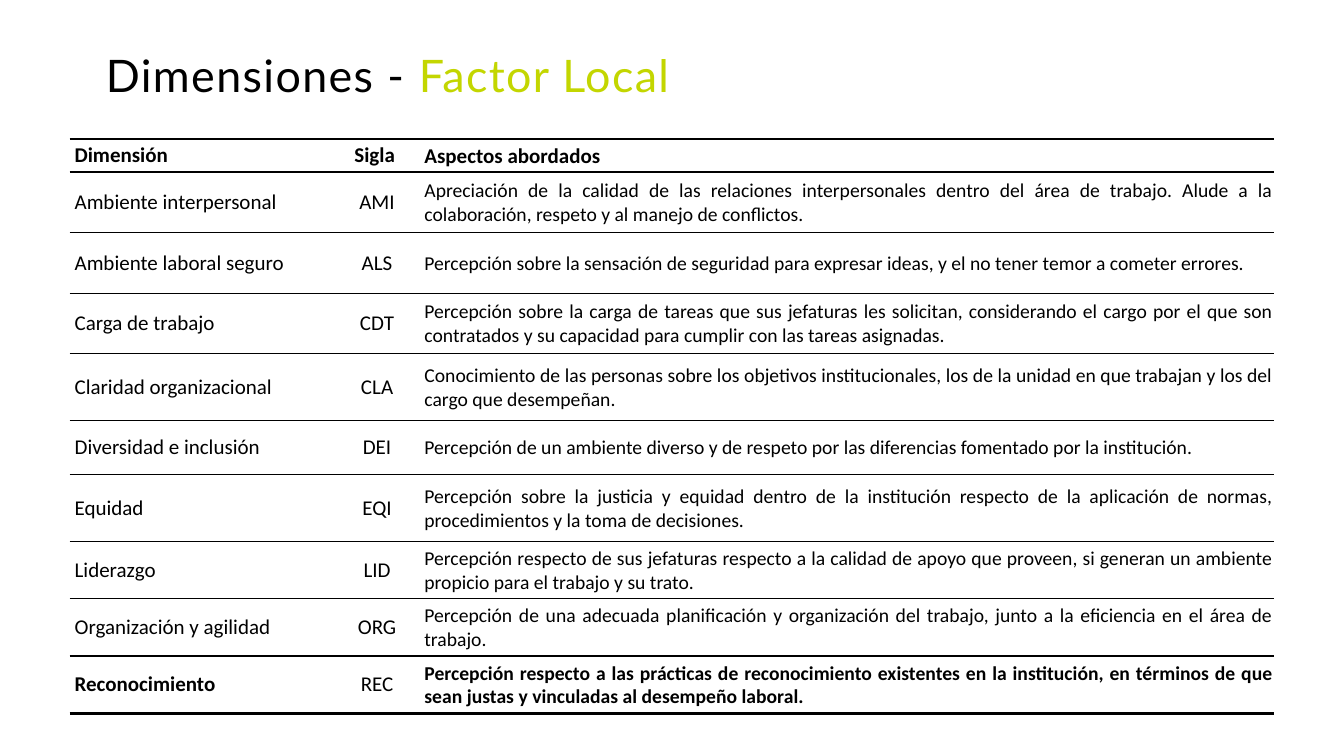
from lxml.etree import SubElement
from pptx import Presentation
from pptx.dml.color import RGBColor
from pptx.enum.text import MSO_ANCHOR, PP_ALIGN
from pptx.oxml.ns import qn
from pptx.util import Inches, Pt

BLACK = RGBColor(0x00, 0x00, 0x00)
WHITE = RGBColor(0xFF, 0xFF, 0xFF)
LIME = RGBColor(0xC3, 0xD6, 0x00)

COLUMN_WIDTHS = [2.59, 0.92, 8.44]
ROW_HEIGHTS = [0.33, 0.6, 0.6, 0.6, 0.66, 0.54, 0.66, 0.57, 0.57, 0.57]
ALIGNMENTS = [PP_ALIGN.LEFT, PP_ALIGN.CENTER, PP_ALIGN.JUSTIFY]
MARGINS = [(0.05, 0.02, 0.05, 0.02), (0.05, 0.02, 0.05, 0.02), (0.01, 0.01, 0.01, 0)]
ROWS = [
    ("Dimensión", "Sigla ", "Aspectos abordados"),
    ("Ambiente interpersonal", "AMI",
     "Apreciación de la calidad de las relaciones interpersonales dentro del área de trabajo. "
     "Alude a la colaboración, respeto y al manejo de conflictos. "),
    ("Ambiente laboral seguro", "ALS",
     "Percepción sobre la sensación de seguridad para expresar ideas, "
     "y el no tener temor a cometer errores."),
    ("Carga de trabajo", "CDT",
     "Percepción sobre la carga de tareas que sus jefaturas les solicitan, considerando el cargo "
     "por el que son contratados y su capacidad para cumplir con las tareas asignadas. "),
    ("Claridad organizacional", "CLA",
     "Conocimiento de las personas sobre los objetivos institucionales, los de la unidad "
     "en que trabajan y los del cargo que desempeñan. "),
    ("Diversidad e inclusión", "DEI",
     "Percepción de un ambiente diverso y de respeto por las diferencias "
     "fomentado por la institución."),
    ("Equidad", "EQI",
     "Percepción sobre la justicia y equidad dentro de la institución respecto de la aplicación "
     "de normas, procedimientos y la toma de decisiones."),
    ("Liderazgo", "LID",
     "Percepción respecto de sus jefaturas respecto a la calidad de apoyo que proveen, "
     "si generan un ambiente propicio para el trabajo y su trato. "),
    ("Organización y agilidad", "ORG",
     "Percepción de una adecuada planificación y organización del trabajo, "
     "junto a la eficiencia en el área de trabajo. "),
    ("Reconocimiento ", "REC",
     "Percepción respecto a las prácticas de reconocimiento existentes en la institución, "
     "en términos de que sean justas y vinculadas al desempeño laboral."),
]
LAST_ROW = len(ROWS) - 1
RULE_WIDTHS = [2, 1.5] + [1] * (len(ROWS) - 2) + [2]


def set_borders(cell, top, bottom):
    properties = cell._tc.get_or_add_tcPr()
    for side, width in (("L", 0), ("R", 0), ("T", top), ("B", bottom)):
        line = SubElement(properties, qn(f"a:ln{side}"), w=str(Pt(width)))
        if width:
            fill = SubElement(line, qn("a:solidFill"))
            SubElement(fill, qn("a:srgbClr"), val=str(BLACK))
        else:
            SubElement(line, qn("a:noFill"))


presentation = Presentation()
presentation.slide_width = Inches(13.33)
presentation.slide_height = Inches(7.5)
slide = presentation.slides.add_slide(presentation.slide_layouts[6])

title = slide.shapes.add_textbox(Inches(1.05), Inches(0.27), Inches(10.58), Inches(1.01))
frame = title.text_frame
frame.word_wrap = True
frame.vertical_anchor = MSO_ANCHOR.MIDDLE
frame.margin_left = frame.margin_top = frame.margin_right = frame.margin_bottom = 0
paragraph = frame.paragraphs[0]
paragraph.line_spacing = 0.9
paragraph.font.name = "Lato"
paragraph.font.size = Pt(32)
for text, color in (("Dimensiones - ", BLACK), ("Factor Local", LIME)):
    run = paragraph.add_run()
    run.text = text
    run.font.color.rgb = color
    run.font._element.set("spc", "100")

table = slide.shapes.add_table(
    len(ROWS), len(COLUMN_WIDTHS), Inches(0.69), Inches(1.38),
    Inches(sum(COLUMN_WIDTHS)), Inches(sum(ROW_HEIGHTS))).table
table.horz_banding = False
for column, width in zip(table.columns, COLUMN_WIDTHS):
    column.width = Inches(width)

for row_index, (height, texts) in enumerate(zip(ROW_HEIGHTS, ROWS)):
    table.rows[row_index].height = Inches(height)
    for column_index, text in enumerate(texts):
        cell = table.cell(row_index, column_index)
        set_borders(cell, RULE_WIDTHS[row_index], RULE_WIDTHS[row_index + 1])
        cell.fill.solid()
        cell.fill.fore_color.rgb = WHITE
        cell.vertical_anchor = MSO_ANCHOR.MIDDLE
        left, top, right, bottom = MARGINS[column_index]
        cell.margin_left, cell.margin_top = Inches(left), Inches(top)
        cell.margin_right, cell.margin_bottom = Inches(right), Inches(bottom)
        cell.text = text
        paragraph = cell.text_frame.paragraphs[0]
        paragraph.alignment = ALIGNMENTS[column_index]
        paragraph.font.name = "Calibri"
        paragraph.font.size = Pt(14 if row_index and column_index == 2 else 15)
        paragraph.font.bold = row_index == 0 or (row_index == LAST_ROW and column_index != 1)
        paragraph.font.color.rgb = BLACK

presentation.save("out.pptx")
